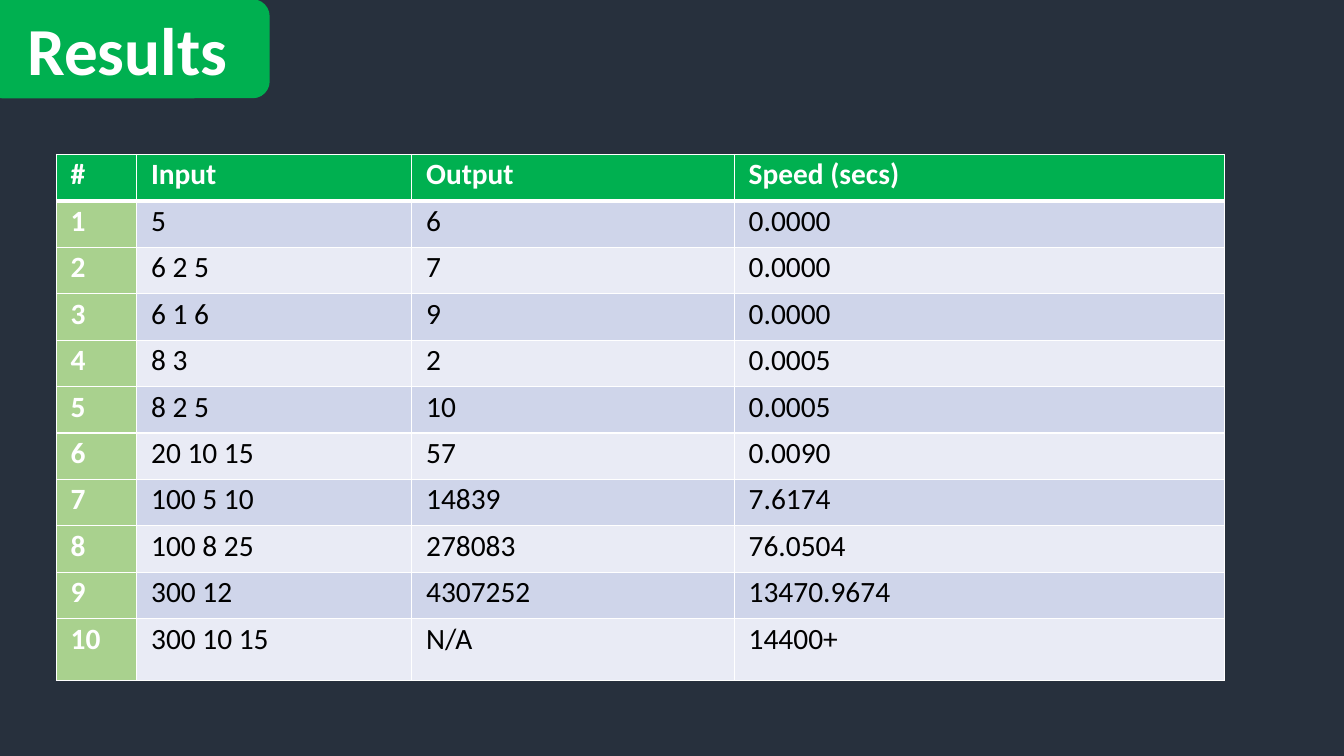
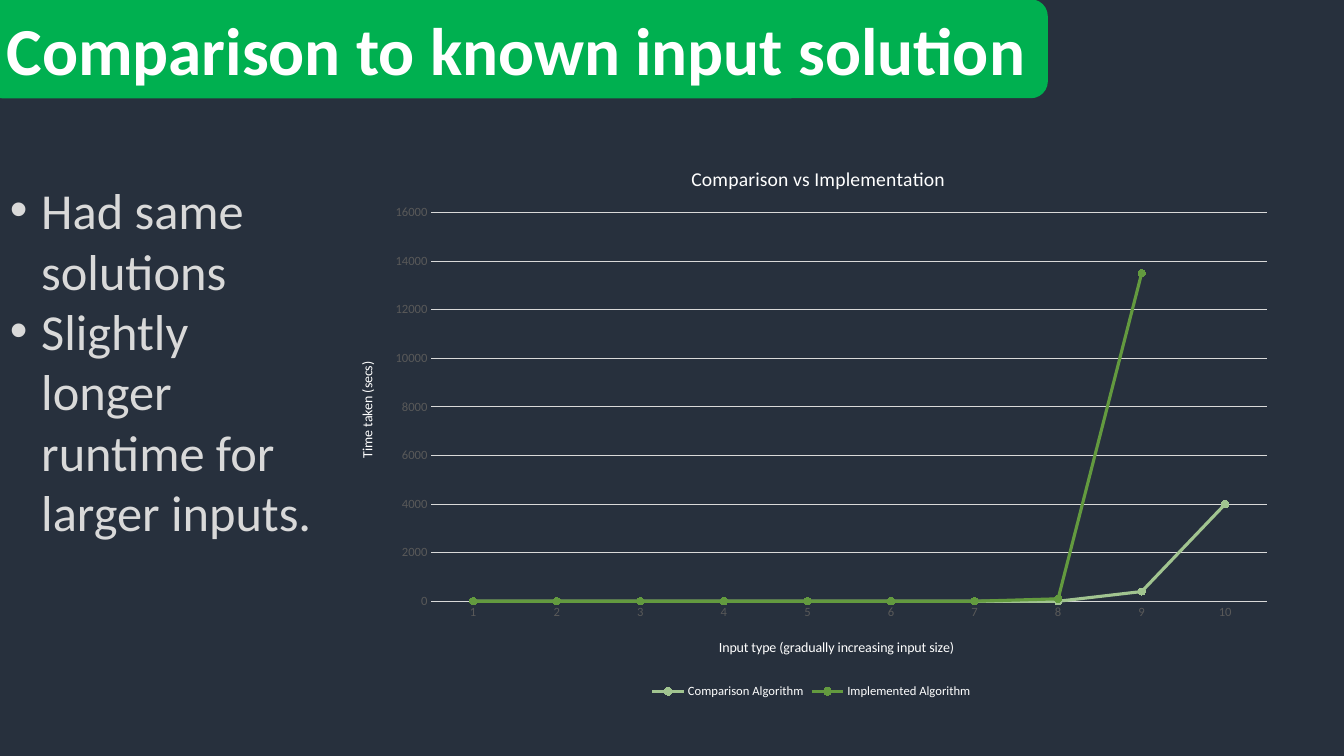
from lxml import etree
from pptx import Presentation
from pptx import util as u
from pptx.chart.data import CategoryChartData
from pptx.dml.color import RGBColor
from pptx.enum import chart as ch, shapes, text
from pptx.oxml.ns import qn

# Shared style
FONT = "Calibri"
NIGHT = RGBColor(0x27, 0x30, 0x3D)
GREEN = RGBColor(0x00, 0xB0, 0x50)
LEAF = RGBColor(0xA9, 0xD1, 0x8E)
BAND_DARK = RGBColor(0xCF, 0xD5, 0xEA)
BAND_LIGHT = RGBColor(0xE9, 0xEB, 0xF5)
WHITE = RGBColor(0xFF, 0xFF, 0xFF)
BLACK = RGBColor(0x00, 0x00, 0x00)
SILVER = RGBColor(0xD9, 0xD9, 0xD9)
GRAY = RGBColor(0x59, 0x59, 0x59)
SAGE = RGBColor(0xA1, 0xC4, 0x90)
FERN = RGBColor(0x63, 0x9A, 0x3F)

# Content
HEADINGS = ("#", "Input", "Output", "Speed (secs)")
RUNS = (
    ("5", "6", "0.0000"),
    ("6 2 5", "7", "0.0000"),
    ("6 1 6", "9", "0.0000"),
    ("8 3", "2", "0.0005"),
    ("8 2 5", "10", "0.0005"),
    ("20 10 15", "57", "0.0090"),
    ("100 5 10", "14839", "7.6174"),
    ("100 8 25", "278083", "76.0504"),
    ("300 12", "4307252", "13470.9674"),
    ("300 10 15", "N/A", "14400+"),
)
FINDINGS = ("Had same solutions", "Slightly longer runtime for larger inputs.")
TIMES = (
    ("Comparison Algorithm", SAGE, [0] * 8 + [400, 4000]),
    ("Implemented Algorithm", FERN, [0] * 7 + [100, 13500, None]),
)


def style_font(font, size, color, bold=False):
    font.name, font.size, font.bold = FONT, u.Pt(size), bold
    font.color.rgb = color


def write(paragraph, words, size, color, bold=False, align=None, spacing=None):
    run = paragraph.add_run()
    run.text = words
    style_font(run.font, size, color, bold)
    if align is not None:
        paragraph.alignment = align
    if spacing:
        paragraph.line_spacing = spacing


def add_titled_slide(deck, title, band_width):
    slide = deck.slides.add_slide(deck.slide_layouts[6])
    slide.background.fill.solid()
    slide.background.fill.fore_color.rgb = NIGHT
    band = slide.shapes.add_shape(shapes.MSO_SHAPE.ROUNDED_RECTANGLE,
                                  u.Cm(-0.36), 0, u.Cm(band_width), u.Cm(2.46))
    band.shadow.inherit = False
    band.fill.solid()
    band.fill.fore_color.rgb = GREEN
    band.line.color.rgb = GREEN
    band.line.width = u.Pt(1)
    band.text_frame.vertical_anchor = text.MSO_ANCHOR.MIDDLE
    write(band.text_frame.paragraphs[0], title, 48, WHITE, bold=True,
          align=text.PP_ALIGN.CENTER)
    return slide


# Results table
def add_borders(cell, top, bottom):
    properties = cell._tc.get_or_add_tcPr()
    for side, points in (("L", 1), ("R", 1), ("T", top), ("B", bottom)):
        edge = etree.SubElement(properties, qn(f"a:ln{side}"), w=str(u.Pt(points)))
        fill = etree.SubElement(edge, qn("a:solidFill"))
        etree.SubElement(fill, qn("a:srgbClr"), val=str(WHITE))


def fill_cell(cell, words, row, column):
    strong = row == 0 or column == 0
    band = BAND_DARK if row % 2 else BAND_LIGHT
    add_borders(cell, top=3 if row == 1 else 1, bottom=3 if row == 0 else 1)
    cell.fill.solid()
    cell.fill.fore_color.rgb = GREEN if row == 0 else LEAF if column == 0 else band
    cell.margin_left = cell.margin_right = u.Cm(0.36)
    cell.margin_top = cell.margin_bottom = 0
    write(cell.text_frame.paragraphs[0], words, 21, WHITE if strong else BLACK,
          bold=strong, spacing=1.07)


def add_results(slide):
    rows = [HEADINGS] + [(str(n), *run) for n, run in enumerate(RUNS, 1)]
    widths = (2.03, 6.93, 8.13, 12.34)
    heights = [1.17] * len(RUNS) + [1.55]
    table = slide.shapes.add_table(len(rows), len(widths), u.Cm(1.42), u.Cm(3.89),
                                   u.Cm(sum(widths)), u.Cm(sum(heights))).table
    for column, width in zip(table.columns, widths):
        column.width = u.Cm(width)
    for r, (row, height) in enumerate(zip(rows, heights)):
        table.rows[r].height = u.Cm(height)
        for c, words in enumerate(row):
            fill_cell(table.cell(r, c), words, r, c)


# Findings list
def add_findings(slide):
    box = slide.shapes.add_textbox(0, u.Cm(4.39), u.Cm(8.48), u.Cm(10.26))
    frame = box.text_frame
    frame.word_wrap = True
    for i, finding in enumerate(FINDINGS):
        paragraph = frame.add_paragraph() if i else frame.paragraphs[0]
        write(paragraph, finding, 36, SILVER)
        properties = paragraph._p.get_or_add_pPr()
        properties.set("marL", str(u.Cm(0.79)))
        properties.set("indent", str(u.Cm(-0.79)))
        etree.SubElement(properties, qn("a:buFont"), typeface="Arial")
        etree.SubElement(properties, qn("a:buChar"), char="•")


# Time chart
def place(part, **fractions):
    """Give a chart part a fixed place, in fractions of the chart."""
    layout = part.find(qn("c:layout"))
    if layout is None:
        layout = etree.Element(qn("c:layout"))
        part.insert(0, layout)
    manual = etree.SubElement(layout, qn("c:manualLayout"))
    if "w" in fractions:
        etree.SubElement(manual, qn("c:layoutTarget"), val="inner")
    for axis in "xy":
        etree.SubElement(manual, qn(f"c:{axis}Mode"), val="edge")
    for key, value in fractions.items():
        etree.SubElement(manual, qn(f"c:{key}"), val=str(value))


def set_title(title, words, size, x, y, rotation=0):
    write(title.text_frame.paragraphs[0], words, size, WHITE)
    title.text_frame._txBody.bodyPr.set("rot", str(rotation * 60000))
    place(title._element, x=x, y=y)


def style_axis(axis):
    axis.major_tick_mark = axis.minor_tick_mark = ch.XL_TICK_MARK.NONE
    style_font(axis.tick_labels.font, 9, GRAY)


def style_rule(line):
    line.color.rgb = SILVER
    line.width = u.Pt(0.75)


def style_series(series, color):
    series.smooth = False
    series.format.line.color.rgb = color
    series.format.line.width = u.Pt(2.25)
    marker = series.marker
    marker.style, marker.size = ch.XL_MARKER_STYLE.CIRCLE, 5
    marker.format.fill.solid()
    marker.format.fill.fore_color.rgb = color
    marker.format.line.color.rgb = color


def add_times(slide):
    data = CategoryChartData()
    data.categories = [str(n) for n in range(1, 11)]
    for name, _, values in TIMES:
        data.add_series(name, values)
    chart = slide.shapes.add_chart(ch.XL_CHART_TYPE.LINE_MARKERS, u.Cm(8.48), u.Cm(3.51),
                                   u.Cm(23.93), u.Cm(14.2), data).chart
    style_font(chart.font, 10, BLACK)
    plot = chart.plots[0]
    plot.vary_by_categories = False
    for series, (_, color, _) in zip(plot.series, TIMES):
        style_series(series, color)

    inputs, seconds = chart.category_axis, chart.value_axis
    style_axis(inputs)
    style_axis(seconds)
    style_rule(inputs.format.line)
    seconds.format.line.fill.background()
    style_rule(seconds.major_gridlines.format.line)
    seconds.minimum_scale, seconds.maximum_scale, seconds.major_unit = 0, 16000, 2000

    set_title(chart.chart_title, "Comparison vs Implementation", 14, 0.37, 0.04)
    set_title(inputs.axis_title, "Input type (gradually increasing input size)", 10,
              0.4, 0.88)
    set_title(seconds.axis_title, "Time taken (secs)", 10, 0.02, 0.39, rotation=-90)
    place(chart._chartSpace.chart.plotArea, x=0.1, y=0.13, w=0.88, h=0.69)

    chart.has_legend = True
    chart.legend.position = ch.XL_LEGEND_POSITION.BOTTOM
    chart.legend.include_in_layout = False
    style_font(chart.legend.font, 9, WHITE)


def main():
    deck = Presentation()
    deck.slide_width, deck.slide_height = u.Cm(33.87), u.Cm(19.05)
    add_results(add_titled_slide(deck, "Results", 7.14))
    comparison = add_titled_slide(deck, "Comparison to known input solution", 26.75)
    add_times(comparison)
    add_findings(comparison)
    deck.save("out.pptx")


main()
